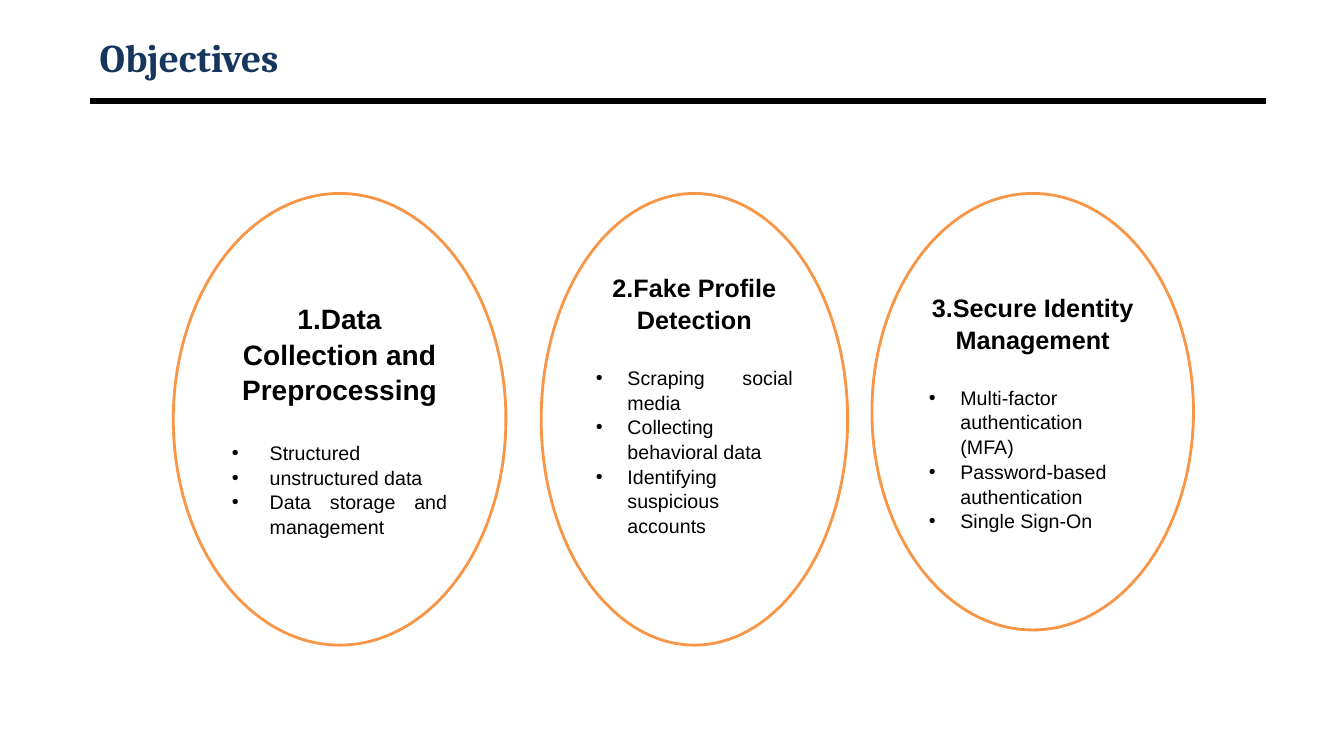
from pptx import Presentation
from pptx.dml.color import RGBColor
from pptx.enum import shapes, text
from pptx.oxml.ns import qn
from pptx.util import Pt

COLORS = {"title": "17365D", "ink": "000000", "oval": "FFFFFF", "outline": "F79646"}
TITLE = "Objectives"
OVAL_TOP = 138.2
LINE_SPACING = 1.05
INSET = 3.6

# left, width, height, heading size, bullet indent, space below the list
OBJECTIVES = [
    ("1.Data Collection and Preprocessing",
     ["Structured", "unstructured data", "Data storage and management"],
     (123.8, 237.6, 322.6, 20, 27, 0)),
    ("2.Fake Profile Detection",
     ["Scraping social media", "Collecting behavioral data",
      "Identifying suspicious accounts"],
     (386.6, 218.9, 322.6, 18, 22.5, 21.6)),
    ("3.Secure Identity Management",
     ["Multi-factor authentication (MFA)", "Password-based authentication",
      "Single Sign-On"],
     (622.8, 229.7, 311.8, 18, 22.5, 0)),
]


def color(name):
    return RGBColor.from_string(COLORS[name])


def style(paragraph, size, bold, font="Arial", ink="ink"):
    for run in paragraph.runs:
        run.font.name = font
        run.font.size = Pt(size)
        run.font.bold = bold
        run.font.color.rgb = color(ink)


def add_bullet(paragraph, indent):
    properties = paragraph._p.get_or_add_pPr()
    properties.set("marL", str(Pt(indent)))
    properties.set("indent", str(-Pt(indent)))
    for tag, attribute, value in (("a:buFont", "typeface", "Arial"),
                                  ("a:buChar", "char", "•")):
        properties.append(properties.makeelement(qn(tag), {attribute: value}))


def add_title(slide):
    title = slide.shapes.title
    title.left, title.top, title.width, title.height = map(Pt, (64, 21.6, 840, 38.2))
    frame = title.text_frame
    frame.text = TITLE
    frame.auto_size = text.MSO_AUTO_SIZE.NONE
    frame.vertical_anchor = text.MSO_ANCHOR.MIDDLE
    frame.paragraphs[0].alignment = text.PP_ALIGN.LEFT
    style(frame.paragraphs[0], 28, True, "Cambria", "title")


def add_rule(slide):
    rule = slide.shapes.add_connector(
        shapes.MSO_CONNECTOR.STRAIGHT, Pt(64), Pt(72), Pt(904), Pt(72))
    rule.line.color.rgb = color("ink")
    rule.line.width = Pt(4.5)
    properties = rule._element.spPr
    properties.append(properties.makeelement(qn("a:effectLst"), {}))


def add_objective(slide, heading, points, layout):
    left, width, height, heading_size, indent, space_below = layout
    oval = slide.shapes.add_shape(
        shapes.MSO_SHAPE.OVAL, Pt(left), Pt(OVAL_TOP), Pt(width), Pt(height))
    oval.shadow.inherit = False
    oval.fill.solid()
    oval.fill.fore_color.rgb = color("oval")
    oval.line.color.rgb = color("outline")
    oval.line.width = Pt(2)

    frame = oval.text_frame
    frame.word_wrap = True
    frame.vertical_anchor = text.MSO_ANCHOR.MIDDLE
    frame.margin_bottom = Pt(INSET + space_below)
    frame.text = "\n".join([heading, *points])
    first, *rest = frame.paragraphs
    first.alignment = text.PP_ALIGN.CENTER
    first.line_spacing = LINE_SPACING
    first.space_after = Pt(1.2 * heading_size)
    style(first, heading_size, True)
    for point in rest:
        point.alignment = text.PP_ALIGN.JUSTIFY
        point.line_spacing = LINE_SPACING
        add_bullet(point, indent)
        style(point, 14, False)


def main():
    deck = Presentation()
    deck.slide_width, deck.slide_height = Pt(960), Pt(540)
    slide = deck.slides.add_slide(deck.slide_layouts[5])
    add_rule(slide)
    add_title(slide)
    for objective in OBJECTIVES:
        add_objective(slide, *objective)
    deck.save("out.pptx")


if __name__ == "__main__":
    main()
